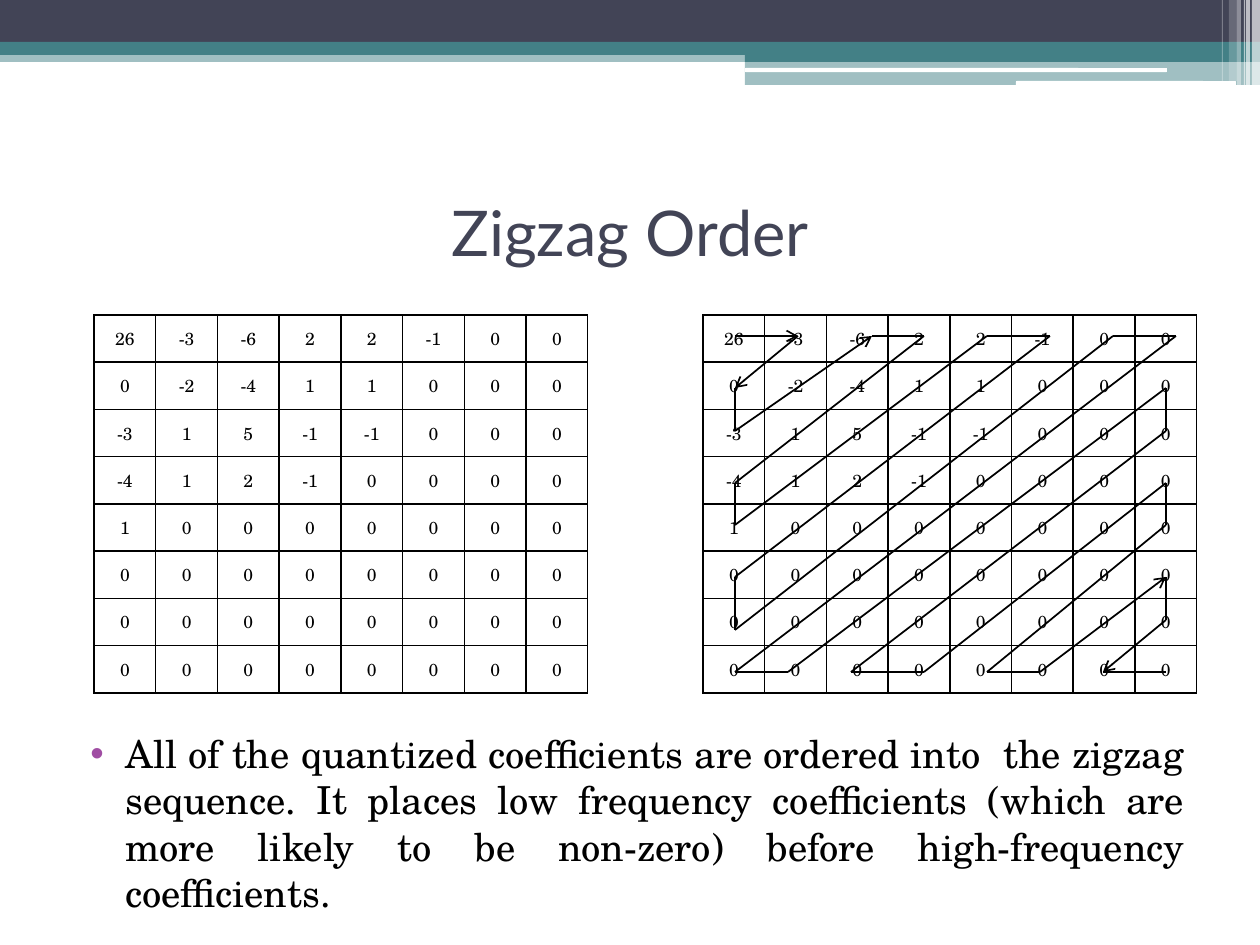
import itertools

import pptx
import pptx.dml.color
import pptx.enum.shapes
import pptx.enum.text
import pptx.oxml
import pptx.oxml.ns
import pptx.util
from lxml import etree

PIXEL = 914400 // 126
COLORS = {
    "navy": "424456",
    "teal": "438086",
    "white": "FFFFFF",
    "black": "000000",
    "bullet": "A04DA3",
}
TITLE_FONT = "Lato"
BODY_FONT = "TeX Gyre Schola"
COEFFICIENTS = [
    [26, -3, -6, 2, 2, -1, 0, 0],
    [0, -2, -4, 1, 1, 0, 0, 0],
    [-3, 1, 5, -1, -1, 0, 0, 0],
    [-4, 1, 2, -1, 0, 0, 0, 0],
    [1, 0, 0, 0, 0, 0, 0, 0],
    [0] * 8,
    [0] * 8,
    [0] * 8,
]
# Turning points of the zigzag, in pixels from the corner of the grid
ZIGZAG = [
    (32, 21), (95, 21), (32, 73), (32, 116), (169, 21), (221, 21),
    (32, 168), (32, 210), (284, 21), (347, 21), (32, 262), (32, 315),
    (410, 21), (473, 21), (32, 357), (85, 357), (463, 73), (463, 116),
    (148, 357), (221, 357), (463, 168), (463, 210), (284, 357), (337, 357),
    (463, 262), (463, 305), (400, 357), (463, 357),
]
ARROW_SEGMENTS = {0, 1, 3, 23, 25}


def emu(*pixels):
    """Turn pixel lengths into EMU."""
    return [pptx.util.Emu(round(value * PIXEL)) for value in pixels]


def rgb(name):
    """Return a named colour."""
    return pptx.dml.color.RGBColor.from_string(COLORS[name])


def add_element(parent, tag, **attributes):
    """Append a drawing element with attributes."""
    return etree.SubElement(parent, pptx.oxml.ns.qn(tag), attributes)


def add_run(paragraph, text, font, size, color):
    """Add one formatted run."""
    run = paragraph.add_run()
    run.text = text
    run.font.name = font
    run.font.size = pptx.util.Pt(size)
    run.font.color.rgb = rgb(color)


def add_bar(slide, box, color, opacity=100, rounded=False):
    """Add one filled bar of the banner."""
    kinds = pptx.enum.shapes.MSO_SHAPE
    kind = kinds.ROUNDED_RECTANGLE if rounded else kinds.RECTANGLE
    shape = slide.shapes.add_shape(kind, *emu(*box))
    shape.shadow.inherit = False
    shape.fill.solid()
    shape.fill.fore_color.rgb = rgb(color)
    shape.line.fill.background()
    if opacity < 100:
        fill_color = next(shape.element.spPr.iter(pptx.oxml.ns.qn("a:srgbClr")))
        add_element(fill_color, "a:alpha", val=str(opacity * 1000))


def add_banner(slide, left, top, width):
    """Draw the banner with its steps and the stripes at its right end."""
    step = left + 745
    step_width = width - 745
    add_bar(slide, (left, top + 50, width, 12), "teal", 50)
    add_bar(slide, (left, top, width, 42), "navy")
    add_bar(slide, (left, top + 42, width, 13), "teal")
    add_bar(slide, (step, top + 49, step_width, 13), "teal")
    add_bar(slide, (step, top + 62, step_width, 23), "teal", 50)
    add_bar(slide, (step, top + 68, 422, 4), "white", rounded=True)
    add_bar(slide, (left + 1016, top + 81, 220, 5), "white", rounded=True)
    stripes = [(8, 8, 85, 65), (14, 4, 85, 65), (16, 1, 85, 60),
               (23, 4, 85, 40), (31, 8, 81, 20), (38, 1, 81, 30)]
    for from_right, stripe_width, height, opacity in stripes:
        box = (left + width - from_right, top, stripe_width, height)
        add_bar(slide, box, "white", opacity)


def add_title(slide, left, top, width, height):
    """Place and format the title placeholder."""
    title = slide.shapes.title
    title.left, title.top, title.width, title.height = emu(left, top, width, height)
    title.text_frame.vertical_anchor = pptx.enum.text.MSO_ANCHOR.MIDDLE
    paragraph = title.text_frame.paragraphs[0]
    paragraph.alignment = pptx.enum.text.PP_ALIGN.CENTER
    add_run(paragraph, "Zigzag Order", TITLE_FONT, 36, "navy")


def format_cell(cell, value):
    """Write one coefficient and border its cell."""
    cell.margin_left = cell.margin_right = cell.margin_top = cell.margin_bottom = 0
    cell.vertical_anchor = pptx.enum.text.MSO_ANCHOR.MIDDLE
    paragraph = cell.text_frame.paragraphs[0]
    paragraph.alignment = pptx.enum.text.PP_ALIGN.CENTER
    add_run(paragraph, str(value), BODY_FONT, 10, "black")
    properties = cell._tc.get_or_add_tcPr()
    for side in ("a:lnL", "a:lnR", "a:lnT", "a:lnB"):
        border = add_element(properties, side, w="12700")
        fill = add_element(border, "a:solidFill")
        add_element(fill, "a:srgbClr", val=COLORS["black"])
    cell.fill.background()


def add_grid(slide, left, top, width, height):
    """Add the table of coefficients."""
    size = len(COEFFICIENTS)
    frame = slide.shapes.add_table(size, size, *emu(left, top, width, height))
    table = frame.table
    table.first_row = table.horz_banding = False
    column_width, row_height = emu(width / size, height / size)
    for column in table.columns:
        column.width = column_width
    for row, values in zip(table.rows, COEFFICIENTS):
        row.height = row_height
        for cell, value in zip(row.cells, values):
            format_cell(cell, value)


def add_zigzag(slide, left, top):
    """Draw the scan order over the grid at the given corner."""
    for index, (start, end) in enumerate(itertools.pairwise(ZIGZAG)):
        ends = emu(left + start[0], top + start[1], left + end[0], top + end[1])
        connector = slide.shapes.add_connector(
            pptx.enum.shapes.MSO_CONNECTOR.STRAIGHT, *ends)
        connector.line.color.rgb = rgb("black")
        connector.line.width = pptx.util.Pt(1)
        if index in ARROW_SEGMENTS:
            add_element(connector.line._get_or_add_ln(), "a:tailEnd", type="arrow")
        add_element(connector._element.spPr, "a:effectLst")


def add_explanation(slide, left, top, width, height):
    """Add the justified bullet below the grids."""
    frame = slide.shapes.add_textbox(*emu(left, top, width, height)).text_frame
    frame.word_wrap = True
    paragraph = frame.paragraphs[0]
    paragraph.alignment = pptx.enum.text.PP_ALIGN.JUSTIFY
    add_run(paragraph, "All of the quantized coefficients are ordered into  the zigzag "
            "sequence. It places low frequency coefficients (which are more likely to be "
            "non-zero) before high-frequency coefficients.", BODY_FONT, 22, "black")
    properties = paragraph._p.get_or_add_pPr()
    indent, hanging = emu(50, -35)
    properties.set("marL", str(indent))
    properties.set("indent", str(hanging))
    bullet_color = add_element(properties, "a:buClr")
    add_element(bullet_color, "a:srgbClr", val=COLORS["bullet"])
    add_element(properties, "a:buFont", typeface="Arial")
    add_element(properties, "a:buChar", char="•")


def build():
    """Build and save the presentation."""
    presentation = pptx.Presentation()
    presentation.slide_width = pptx.util.Inches(10)
    presentation.slide_height = pptx.util.Inches(7.5)
    slide = presentation.slides.add_slide(presentation.slide_layouts[5])
    add_banner(slide, 0, 0, 1260)
    add_title(slide, 63, 158, 1134, 147)
    for left in (703, 94):
        add_grid(slide, left, 315, 494, 378)
    add_zigzag(slide, 703, 315)
    add_explanation(slide, 63, 724, 1134, 200)
    presentation.save("out.pptx")


build()
